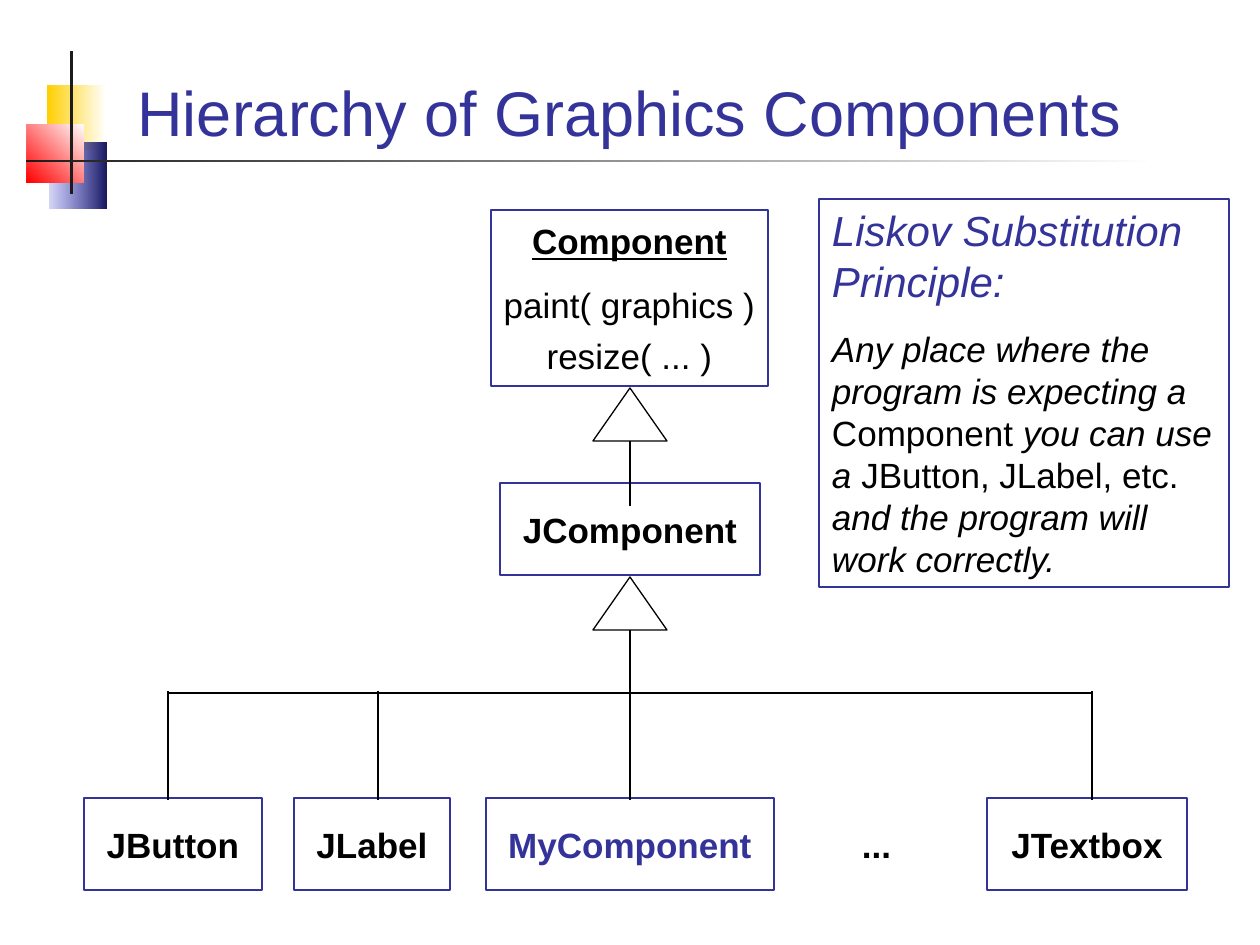
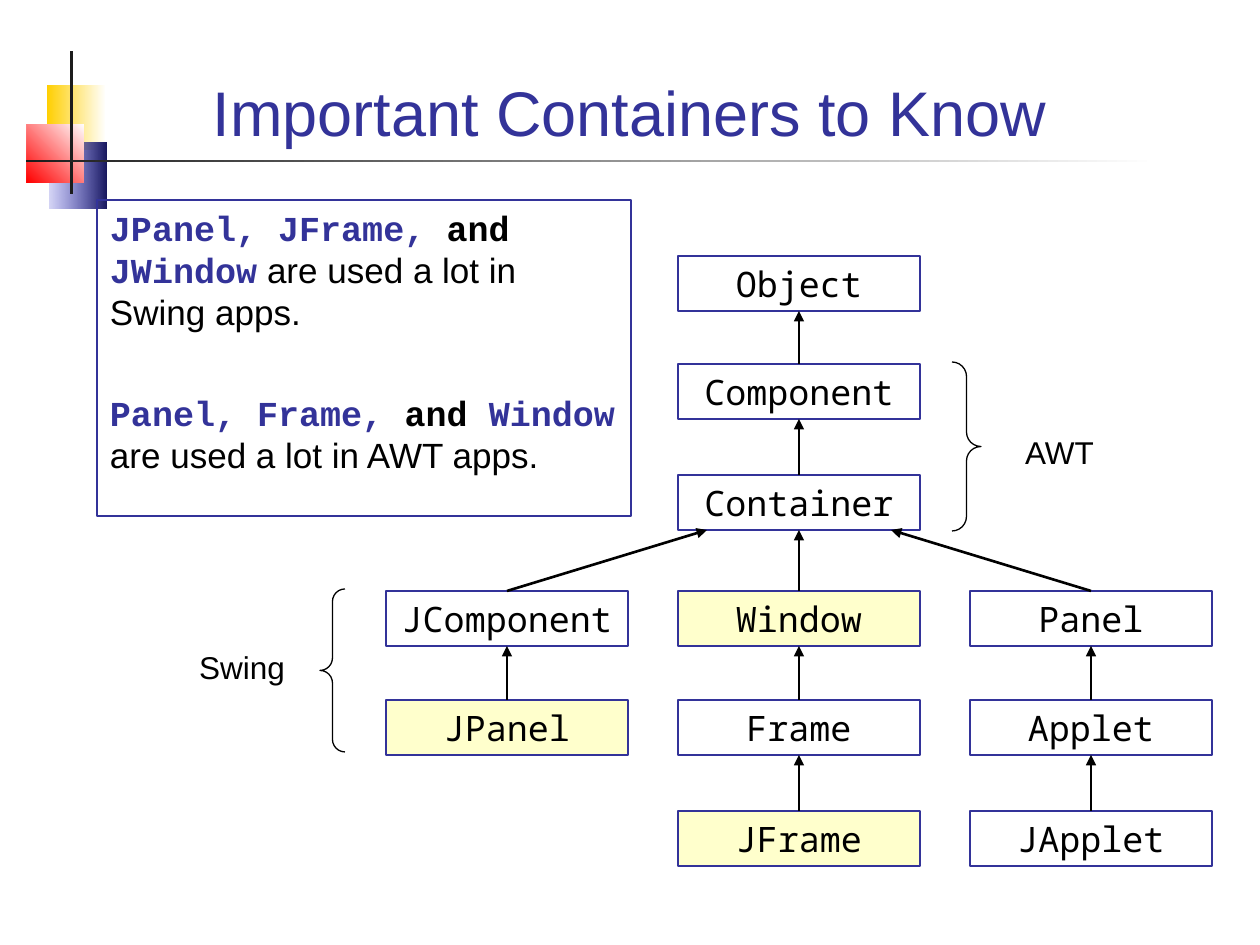
"""Build two slides on the hierarchy of graphics components and containers."""
from lxml import etree
from pptx import Presentation
from pptx.dml.color import RGBColor
from pptx.enum.shapes import MSO_CONNECTOR, MSO_SHAPE
from pptx.enum.text import MSO_ANCHOR, MSO_AUTO_SIZE, PP_ALIGN
from pptx.oxml.ns import qn
from pptx.util import Emu, Pt

RECTANGLE, TRIANGLE = MSO_SHAPE.RECTANGLE, MSO_SHAPE.ISOSCELES_TRIANGLE
LEFT_BRACE, RIGHT_BRACE = MSO_SHAPE.LEFT_BRACE, MSO_SHAPE.RIGHT_BRACE
STRAIGHT = MSO_CONNECTOR.STRAIGHT
TOP, BOTTOM = MSO_ANCHOR.TOP, MSO_ANCHOR.BOTTOM
LEFT, CENTER, RIGHT = PP_ALIGN.LEFT, PP_ALIGN.CENTER, PP_ALIGN.RIGHT
NO_FIT = MSO_AUTO_SIZE.NONE

SCALE = 914400 / 126
BLUE, BLACK, WHITE, YELLOW, DARK = "333399", "000000", "FFFFFF", "FFFFCC", "1C1C1C"
SANS, CODE, MONO = "Arial", "Courier New", "Noto Sans Mono"
THICK, THIN = 1.5, 0.74
TIGHT, ROOMY = (13, 6), (23, 25)

TITLE_PLACE = (84, 35, 1091, 120)
BANDS = [
    ((47, 85, 59, 65), (WHITE, "FFCF01"), 180, None),
    ((49, 143, 57, 66), ("17175E", "3333CC"), 180, 20),
    ((27, 124, 57, 59), (WHITE, "FF0000"), 225, None),
    ((70, 51, 3, 143), (DARK, DARK), 180, None),
    ((26, 160, 1131, 2), (WHITE, DARK), 180, None),
]

COMPONENT_PLACE = (491, 210, 277, 176)
COMPONENT_TEXT = [
    dict(spans=[("Component", {})], bold=True, underline=True, align=CENTER),
    dict(spans=[("paint( graphics )", {})], space=12.5, align=CENTER),
    dict(spans=[("resize( ... )", {})], space=5, align=CENTER),
]
CLASSES = [
    ("JComponent", (500, 483, 260, 92), BLACK, True),
    ("JButton", (84, 798, 178, 92), BLACK, True),
    ("JLabel", (294, 798, 156, 92), BLACK, True),
    ("MyComponent", (486, 798, 288, 92), BLUE, True),
    ("...", (829, 798, 95, 92), BLACK, False),
    ("JTextbox", (987, 798, 200, 92), BLACK, True),
]
TRUNK, RAIL, LEAF_TOP = 630, 693, 800
LEAF_CENTERS = (168, 378, 630, 1092)
INHERITANCE = [(388, 506), (577, 694)]
PRINCIPLE_PLACE = (819, 199, 410, 388)
PRINCIPLE_TEXT = [
    dict(spans=[("Liskov Substitution Principle:", {})], size=24, color=BLUE, italic=True),
    dict(spans=[
        ("Any place where the program is expecting a ", dict(italic=True)),
        ("Component ", {}),
        ("you can use a ", dict(italic=True)),
        ("JButton, JLabel, etc. ", {}),
        ("and the program will work correctly.", dict(italic=True)),
    ], space=12.5),
]

KEYWORD = dict(font=CODE, color=BLUE, bold=True)
JOINER = dict(font=CODE, bold=True)
USAGE_PLACE = (97, 200, 534, 316)
USAGE_TEXT = [
    dict(spans=[("JPanel, JFrame, ", KEYWORD), ("and", JOINER), (" JWindow", KEYWORD),
                (" are used a lot in Swing apps.", {})], space=5),
    dict(spans=[("Panel, Frame, ", KEYWORD), ("and", JOINER), (" Window", KEYWORD),
                (" are used a lot in AWT apps.", {})], space=34),
]
COLUMNS = [386 + 292 * index for index in range(3)]
ROWS = (256, 364, 475, 591, 700, 811)
NODE_WIDTH, NODE_HEIGHT, BRANCH_REACH = 242, 55, 92
NODES = [
    ("Object", 1, 0, None, None),
    ("Component", 1, 1, None, "Object"),
    ("Container", 1, 2, None, "Component"),
    ("JComponent", 0, 3, None, "Container"),
    ("Window", 1, 3, YELLOW, "Container"),
    ("Panel", 2, 3, None, "Container"),
    ("JPanel", 0, 4, YELLOW, "JComponent"),
    ("Frame", 1, 4, None, "Window"),
    ("Applet", 2, 4, None, "Panel"),
    ("JFrame", 1, 5, YELLOW, "Frame"),
    ("JApplet", 2, 5, None, "Applet"),
]
TOOLKITS = [
    ("AWT", (1012, 427, 142, 50), LEFT, RIGHT_BRACE, (952, 362, 29, 169)),
    ("Swing", (156, 642, 142, 50), RIGHT, LEFT_BRACE, (320, 589, 25, 163)),
]


def pixels(value):
    return Emu(round(value * SCALE))


def rgb(color):
    return RGBColor.from_string(color)


def move(shape, place):
    shape.left, shape.top, shape.width, shape.height = map(pixels, place)


def style_font(font, style):
    if "font" in style:
        font.name = style["font"]
    if "size" in style:
        font.size = Pt(style["size"])
    if "color" in style:
        font.color.rgb = rgb(style["color"])
    for name in ("bold", "italic", "underline"):
        if name in style:
            setattr(font, name, style[name])


def write(shape, paragraphs, insets=TIGHT, anchor=TOP, wrap=True):
    frame = shape.text_frame
    frame.word_wrap, frame.auto_size, frame.vertical_anchor = wrap, NO_FIT, anchor
    frame.margin_left = frame.margin_right = pixels(insets[0])
    frame.margin_top = frame.margin_bottom = pixels(insets[1])
    for index, content in enumerate(paragraphs):
        para = frame.add_paragraph() if index else frame.paragraphs[0]
        para.alignment = content.get("align", LEFT)
        para.space_before = Pt(content.get("space", 0))
        style_font(para.font, dict(font=SANS, size=20, color=BLACK) | content)
        for text, style in content["spans"]:
            span = para.add_run()
            span.text = text
            style_font(span.font, style)


def add_box(page, place, kind=RECTANGLE, fill=None, line=BLUE, weight=THICK):
    box = page.shapes.add_shape(kind, *map(pixels, place))
    box.shadow.inherit = False
    if fill:
        box.fill.solid()
        box.fill.fore_color.rgb = rgb(fill)
    else:
        box.fill.background()
    if line:
        box.line.color.rgb = rgb(line)
        box.line.width = Pt(weight)
    else:
        box.line.fill.background()
    return box


def add_label(page, place, content, **options):
    label = page.shapes.add_textbox(*map(pixels, place))
    write(label, [content], **options)


def add_line(page, start, end, arrow=False):
    line = page.shapes.add_connector(STRAIGHT, *map(pixels, start + end))
    line.line.color.rgb = rgb(BLACK)
    line.line.width = Pt(THICK)
    if arrow:
        outline = line.element.spPr.find(qn("a:ln"))
        etree.SubElement(outline, qn("a:tailEnd"), type="triangle")
    etree.SubElement(line.element.spPr, qn("a:effectLst"))


def add_bands(deck, page):
    master = deck.slide_master.shapes.element
    for number, (place, colors, angle, alpha) in enumerate(BANDS, 101):
        band = add_box(page, place, line=None)
        band.fill.gradient()
        band.fill.gradient_angle = angle
        for stop, color in zip(band.fill.gradient_stops, colors):
            stop.color.rgb = rgb(color)
        if alpha:
            last = list(band.element.spPr.iter(qn("a:srgbClr")))[-1]
            etree.SubElement(last, qn("a:alpha"), val=str(alpha * 1000))
        band.element.nvSpPr.cNvPr.set("id", str(number))
        master.append(band.element)


def add_page(deck, layout, title):
    page = deck.slides.add_slide(deck.slide_layouts.get_by_name(layout))
    move(page.shapes.title, TITLE_PLACE)
    write(page.shapes.title, [dict(spans=[(title, {})], size=36, color=BLUE, align=CENTER)],
          anchor=BOTTOM)
    return page


def build_components(page):
    write(add_box(page, COMPONENT_PLACE), COMPONENT_TEXT, insets=(13, 10), wrap=False)
    for name, place, color, framed in CLASSES:
        content = dict(spans=[(name, {})], color=color, bold=True, align=CENTER)
        if framed:
            write(add_box(page, place), [content], insets=ROOMY, wrap=False)
        else:
            add_label(page, place, content, insets=ROOMY)
    for center in LEAF_CENTERS:
        add_line(page, (center, LEAF_TOP), (center, RAIL - 2))
    add_line(page, (LEAF_CENTERS[0], RAIL), (LEAF_CENTERS[-1], RAIL))
    for top, bottom in INHERITANCE:
        add_line(page, (TRUNK, bottom), (TRUNK, top + 40))
        add_box(page, (TRUNK - 37, top, 74, 53), TRIANGLE, WHITE, BLACK, THIN)
    write(add_box(page, PRINCIPLE_PLACE, weight=THIN), PRINCIPLE_TEXT)


def build_containers(page):
    body = page.placeholders[1]
    move(body, USAGE_PLACE)
    body.line.color.rgb = rgb(BLUE)
    body.line.width = Pt(THICK)
    write(body, USAGE_TEXT)
    for para in body.text_frame.paragraphs:
        properties = para.font._element.getparent()
        properties.set("marL", "0")
        properties.set("indent", "0")
        properties.find(qn("a:defRPr")).addprevious(etree.Element(qn("a:buNone")))

    spots = {name: (column, row) for name, column, row, _, _ in NODES}
    for name, column, row, fill, parent in NODES:
        place = (COLUMNS[column], ROWS[row], NODE_WIDTH, NODE_HEIGHT)
        box = add_box(page, place, fill=fill)
        write(box, [dict(spans=[(name, {})], font=MONO, align=CENTER)])
        if parent:
            parent_column, parent_row = spots[parent]
            center = NODE_WIDTH // 2
            reach = BRANCH_REACH * (column - parent_column)
            add_line(page, (COLUMNS[column] + center, ROWS[row]),
                     (COLUMNS[parent_column] + center + reach, ROWS[parent_row] + NODE_HEIGHT),
                     arrow=True)
    for name, place, align, brace_kind, brace_place in TOOLKITS:
        brace = add_box(page, brace_place, brace_kind, line=BLACK, weight=THIN)
        brace.adjustments[0] = 0.5
        add_label(page, place, dict(spans=[(name, {})], size=18, align=align))


deck = Presentation()
deck.slide_width, deck.slide_height = pixels(1260), pixels(945)
components = add_page(deck, "Title Only", "Hierarchy of Graphics Components")
add_bands(deck, components)
build_components(components)
build_containers(add_page(deck, "Title and Content", "Important Containers to Know"))
deck.save("out.pptx")
